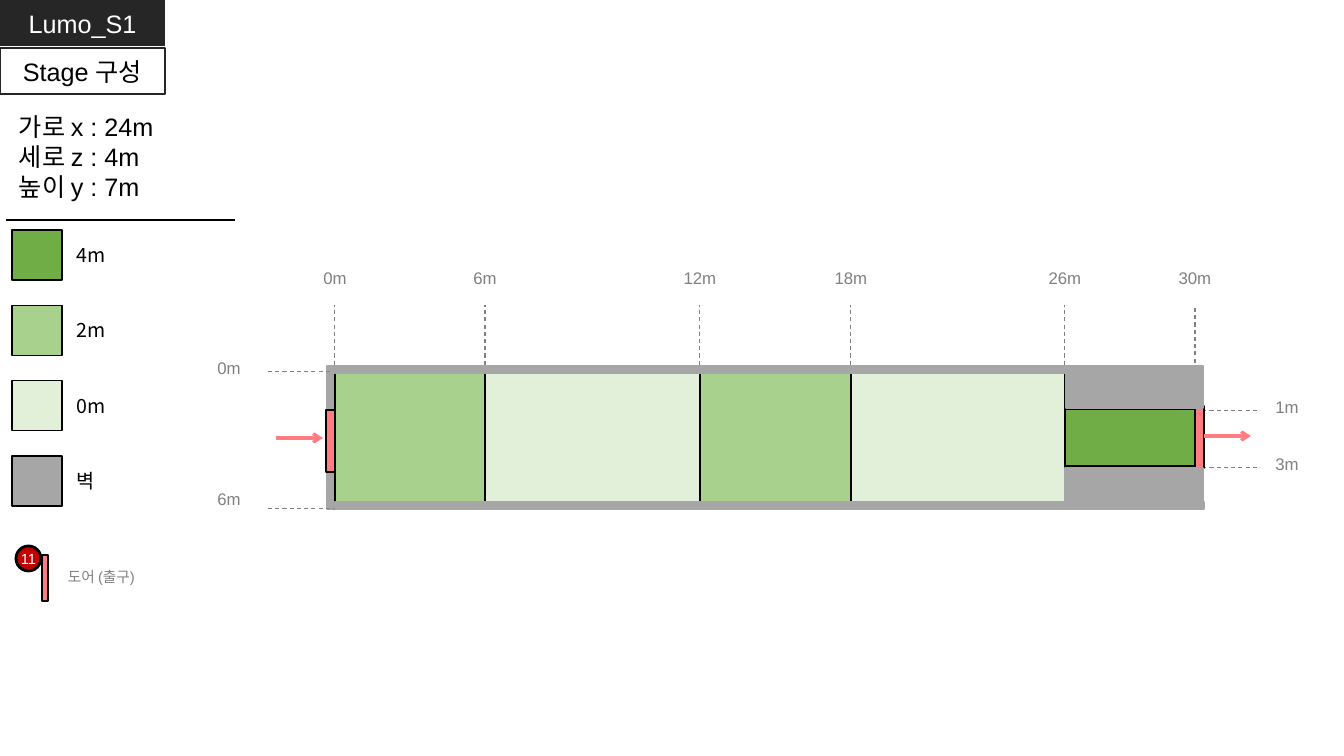
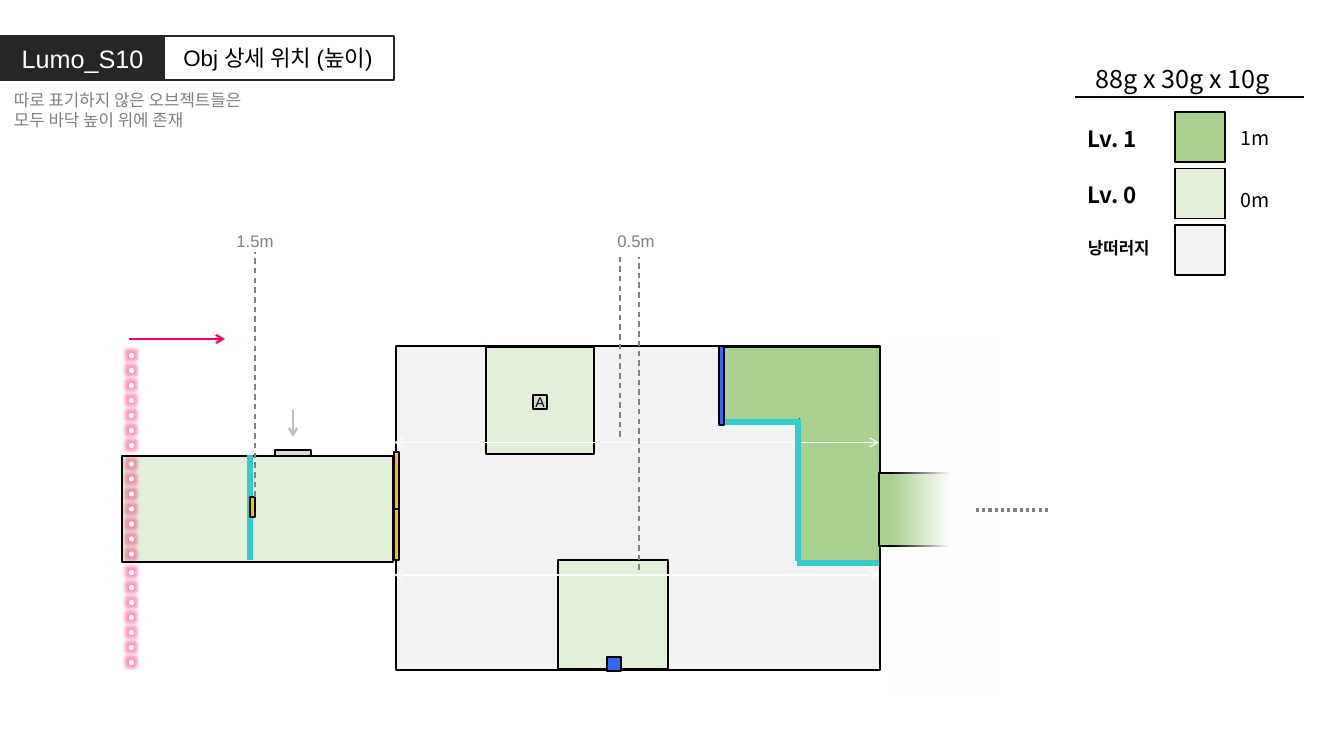
from lxml import etree
from pptx import Presentation
from pptx import util as u
from pptx.dml.color import RGBColor
from pptx.enum import dml, shapes, text
from pptx.oxml.ns import qn

PX = 914400 / 100.8
SANS, NOTO = "Arial", "Noto Sans CJK KR"
HUE = {
    "ink": "000000", "dark": "262626", "gray": "808080", "white": "FFFFFF",
    "wall": "A6A6A6", "high": "70AD47", "mid": "A9D18E", "low": "E2F0D9",
    "door": "FF7C80", "badge": "C00000", "pit": "F2F2F2", "stone": "D9D9D9",
    "mist": "BFBFBF", "teal": "33CCCC", "gold": "FFC000", "pink": "FF0066",
    "blue": "3366FF",
}
RECT, OVAL = shapes.MSO_SHAPE.RECTANGLE, shapes.MSO_SHAPE.OVAL
MID, LEFT = text.PP_ALIGN.CENTER, text.PP_ALIGN.LEFT
DASH, DOTS = dml.MSO_LINE.DASH, dml.MSO_LINE.ROUND_DOT


def emu(*nums):
    return [u.Emu(round(n * PX)) for n in nums]


def rgb(name):
    return RGBColor.from_string(HUE[name])


def add(node, tag, **attrs):
    return etree.SubElement(node, qn(tag), **attrs)


def write(shape, words, size, hue="ink", font=SANS, align=MID, bold=False,
          pad=True, wrap=True, anchor=text.MSO_ANCHOR.MIDDLE):
    frame = shape.text_frame
    frame.text = words
    frame.auto_size = text.MSO_AUTO_SIZE.NONE
    frame.word_wrap = wrap
    frame.vertical_anchor = anchor
    side, edge = (u.Inches(0.1), u.Inches(0.05)) if pad else (0, 0)
    frame.margin_left = frame.margin_right = side
    frame.margin_top = frame.margin_bottom = edge
    for para in frame.paragraphs:
        para.alignment = align
        for run in para.runs:
            run.font.size, run.font.name, run.font.bold = u.Pt(size), font, bold
            run.font.color.rgb = rgb(hue)
            add(run.font._element, "a:ea", typeface=NOTO)


class Pane:
    def __init__(self, slide, x, y):
        self.slide, self.x, self.y = slide, x, y

    def rect(self, x, y, w, h, fill=None, line="ink", width=1, kind=RECT):
        box = self.slide.shapes.add_shape(kind, *emu(self.x + x, self.y + y, w, h))
        box.shadow.inherit = False
        if fill:
            box.fill.solid()
            box.fill.fore_color.rgb = rgb(fill)
        else:
            box.fill.background()
        if line:
            box.line.color.rgb = rgb(line)
            box.line.width = u.Pt(width)
        else:
            box.line.fill.background()
        return box

    def line(self, x1, y1, x2, y2, hue="gray", width=0.75, dash=None, ends=()):
        ox, oy = self.x, self.y
        rule = self.slide.shapes.add_connector(
            shapes.MSO_CONNECTOR.STRAIGHT, *emu(ox + x1, oy + y1, ox + x2, oy + y2))
        rule.line.color.rgb = rgb(hue)
        rule.line.width = u.Pt(width)
        if dash:
            rule.line.dash_style = dash
        for end in ends:
            add(rule.line._get_or_add_ln(), "a:" + end, type="arrow")
        add(rule._element.spPr, "a:effectLst")

    def note(self, x, y, w, h, words, size, **style):
        box = self.slide.shapes.add_textbox(*emu(self.x + x, self.y + y, w, h))
        write(box, words, size, **{"align": LEFT, "anchor": text.MSO_ANCHOR.TOP, **style})

    def label(self, mid, top, words, w=66):
        self.note(mid - w / 2, top, w, 30, words, 12, hue="gray", align=MID, wrap=False)


def start(deck, top, words):
    slide = deck.slides.add_slide(deck.slide_layouts[5])
    title = slide.shapes.title
    title.left, title.top, title.width, title.height = emu(0, top, 165, 46)
    title.fill.solid()
    title.fill.fore_color.rgb = rgb("dark")
    write(title, words, 18, "white")
    return slide


def tag(slide, x, y, w, h, words, size, fill=None):
    box = Pane(slide, x, y).rect(0, 0, w, h, fill, "dark", 1.5)
    write(box, words, size)


def legend(slide, x, y):
    pane = Pane(slide, x, y)
    pane.line(0, 114, 229, 114, "ink", 1)
    pane.note(3, 0, 222, 102, "가로 x : 24m\n세로 z : 4m\n높이 y : 7m", 18)
    rows = [("4m", "high"), ("2m", "mid"), ("0m", "low"), ("벽", "wall")]
    for i, (words, fill) in enumerate(rows):
        top = 124 + 75.4 * i
        pane.rect(6, top, 50, 50, fill)
        pane.note(61, top + 8, 72, 33, words, 14, font=NOTO)


def exits(slide, x, y):
    pane = Pane(slide, x, y)
    pane.note(42, 17, 159, 28, "도어 (출구)", 10.5, hue="gray")
    pane.rect(26, 9, 6, 46, "door")
    badge = pane.rect(0, 0, 25, 25, "badge", "ink", 2, OVAL)
    write(badge, "11", 10.5, "white", pad=False, wrap=False)


def stage(slide, x, y):
    pane = Pane(slide, x, y)
    pane.rect(-8, -6, 9, 143, "wall", "wall")
    marks = [(0, "0m"), (150, "6m"), (365, "12m"), (516, "18m"), (730, "26m"), (860, "30m")]
    for at, words in marks:
        pane.label(at, -109, words, 132)
        pane.line(at, 34 if at == 860 else 0, at, -67, dash=DASH)
    for top, tip, words in [(0, -19, "0m"), (137, 112, "6m")]:
        pane.line(-67, top, 0, top, dash=DASH)
        pane.label(-106, tip, words)
    for top, words in [(39, "1m"), (96, "3m")]:
        pane.line(860, top, 925, top, dash=DASH)
        pane.label(952, top - 19, words)
    for i in range(4):
        left, right = marks[i][0], marks[i + 1][0]
        pane.rect(left, 0, right - left, 137, "low" if i % 2 else "mid")
    pane.rect(730, 37, 131, 57, "high")
    pane.rect(860, 34, 9, 62, "door")
    for wall in [(730, 96, 138, 40), (731, -1, 137, 37), (0, 130, 869, 7), (-2, -6, 870, 7)]:
        pane.rect(*wall, "wall", "wall")
    pane.rect(-9, 38, 9, 62, "door")
    for left, top in [(-59, 66), (869, 64)]:
        pane.line(left, top, left + 47, top, "door", 2.25, ends=["tailEnd"])


def levels(slide, x, y):
    pane = Pane(slide, x, y)
    pane.line(0, 39, 229, 39, "ink", 1)
    pane.note(-3, 0, 222, 40, "88g x 30g x 10g", 18, font=NOTO, align=MID)
    rows = [("Lv. 1", 16, "mid", "1m", 9), ("Lv. 0", 16, "low", "0m", 14),
            ("낭떠러지", 12, "pit", "", 0)]
    for i, (name, size, fill, words, drop) in enumerate(rows):
        top = 54 + 56.5 * i
        pane.rect(100, top, 50, 50, fill)
        pane.note(3, top + 8, 108, 36, name, size, font=NOTO, bold=True)
        if words:
            pane.note(156, top + drop, 72, 33, words, 14, font=NOTO)


def glow(shape):
    halo = add(shape._element.spPr.find(qn("a:effectLst")), "a:glow", rad="63500")
    add(add(halo, "a:srgbClr", val=HUE["pink"]), "a:alpha", val="40000")


def fade(shape):
    shape.fill.gradient()
    shape.fill.gradient_angle = 0
    stops = shape._element.spPr.find(qn("a:gradFill")).find(qn("a:gsLst"))
    for stop in list(stops):
        stops.remove(stop)
    for pos, alpha in [(0, 0), (55, 100), (100, 100)]:
        stop = add(stops, "a:gs", pos=str(pos * 1000))
        add(add(stop, "a:srgbClr", val=HUE["white"]), "a:alpha", val=str(alpha * 1000))


def hall(slide, x, y):
    pane = Pane(slide, x, y)
    pane.rect(0, 0, 271, 106, "low")
    pane.rect(153, -6, 36, 6, "stone")
    pane.line(128, -1, 128, 104, "teal", 4.5)
    pane.rect(128, 41, 5, 20, "gold")
    pane.line(7, -117, 103, -117, "pink", 1.5, ends=["tailEnd"])
    pane.line(171, -46, 171, -19, "mist", 1.5, ends=["tailEnd"])
    for top in (47, -4):
        pane.rect(272, top, 5, 57, "gold")


def beam(slide, x, y):
    pane = Pane(slide, x, y)
    for i in range(21):
        top = 108.5 * (i // 7) + 15 * (i % 7)
        glow(pane.rect(0, top, 5, 5, "white", None, kind=OVAL))


def cliff(slide, x, y):
    pane = Pane(slide, x, y)
    pane.rect(323, 1, 161, 73, "mid")
    pane.rect(404, 73, 80, 143, "mid")
    pane.rect(404, 42, 79, 143, "mid", None)
    for top in (96.5, 229):
        pane.line(-2, top, 483, top, "white", ends=["headEnd", "tailEnd"])
    for edge in [(323, 76, 403, 76), (402, 73, 402, 215), (401, 217, 483, 217)]:
        pane.line(*edge, "teal", 4.5)
    pane.rect(483, 127, 104, 73, "mid")
    fade(pane.rect(496, -9, 107, 353, "white", None))
    pane.line(652, 164, 578, 164, width=2.25, dash=DOTS)
    pane.rect(211, 311, 14, 14, "blue")
    pane.rect(323, 0, 5, 79, "blue")
    write(pane.rect(137, 49, 14, 14, "stone"), "A", 10, pad=False, wrap=False)
    for mid, words in [(-141, "1.5m"), (240, "0.5m")]:
        pane.label(mid, -120, words, 58)
    for at, low, top in [(-141, 151, -94), (224, 91, -89), (243, 224, -89)]:
        pane.line(at, low, at, top, width=1, dash=DASH)


def room(slide, x, y):
    pane = Pane(slide, x, y)
    pane.rect(0, 0, 484, 324, "pit")
    hall(slide, x - 274, y + 110)
    pane.rect(90, 1, 108, 107, "low")
    pane.rect(162, 214, 110, 109, "low")
    beam(slide, x - 267, y + 7)
    cliff(slide, x, y)


deck = Presentation()
deck.slide_width, deck.slide_height = emu(1344, 756)

plan = start(deck, 0, "Lumo_S1")
tag(plan, 0, 48, 165, 46, "Stage 구성", 18, "white")
stage(plan, 335, 372)
exits(plan, 16, 546)
legend(plan, 6, 106)

place = start(deck, 35, "Lumo_S10")
room(place, 396, 346)
tag(place, 162, 36, 232, 44, "Obj 상세 위치 (높이)", 16)
Pane(place, 4, 85).note(0, 0, 274, 50, "따로 표기하지 않은 오브젝트들은 모두 바닥 높이 위에 존재", 12, hue="gray")
levels(place, 1075, 58)

deck.save("out.pptx")
